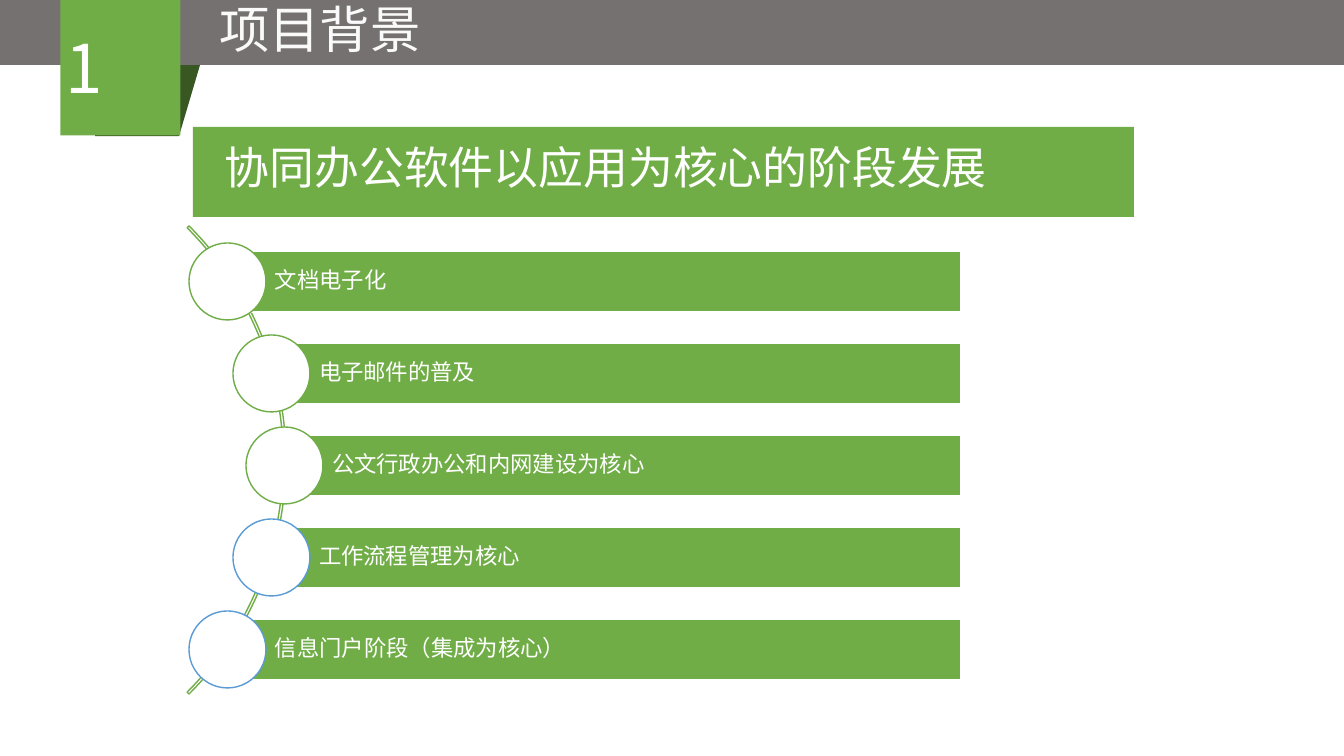
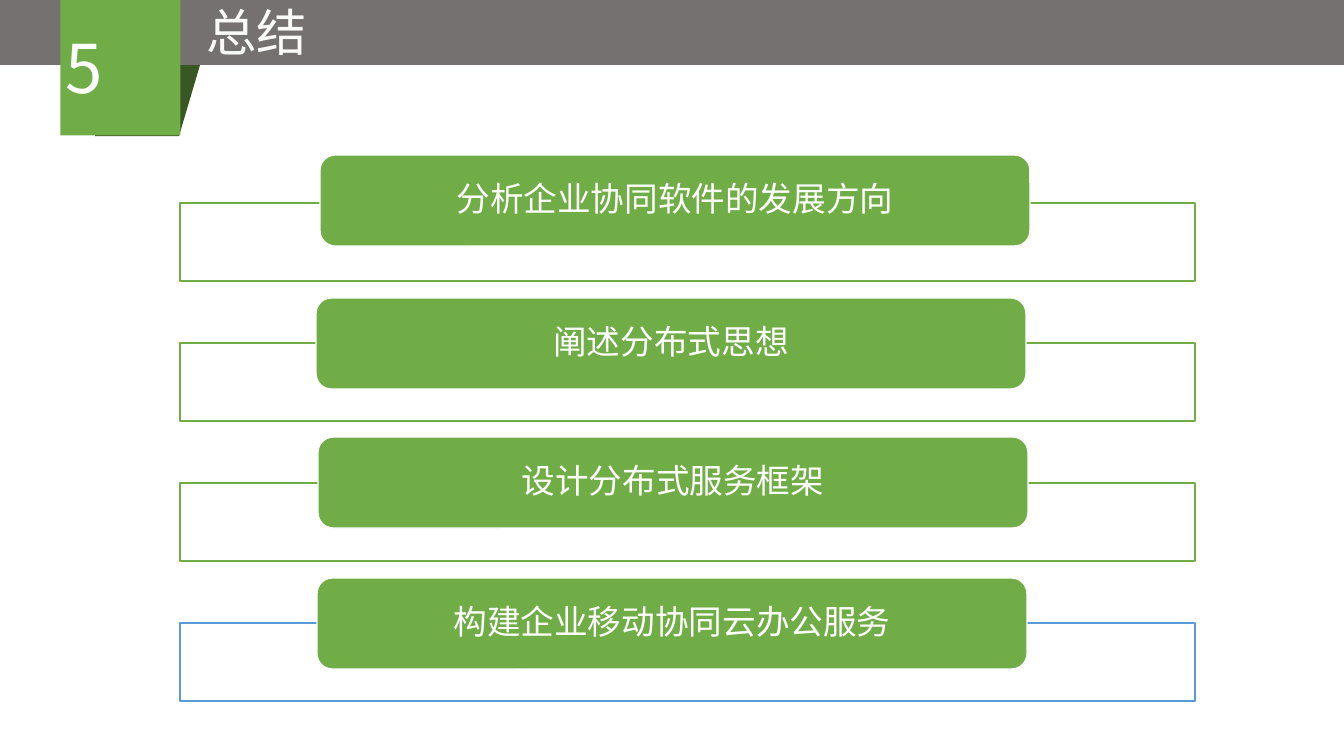
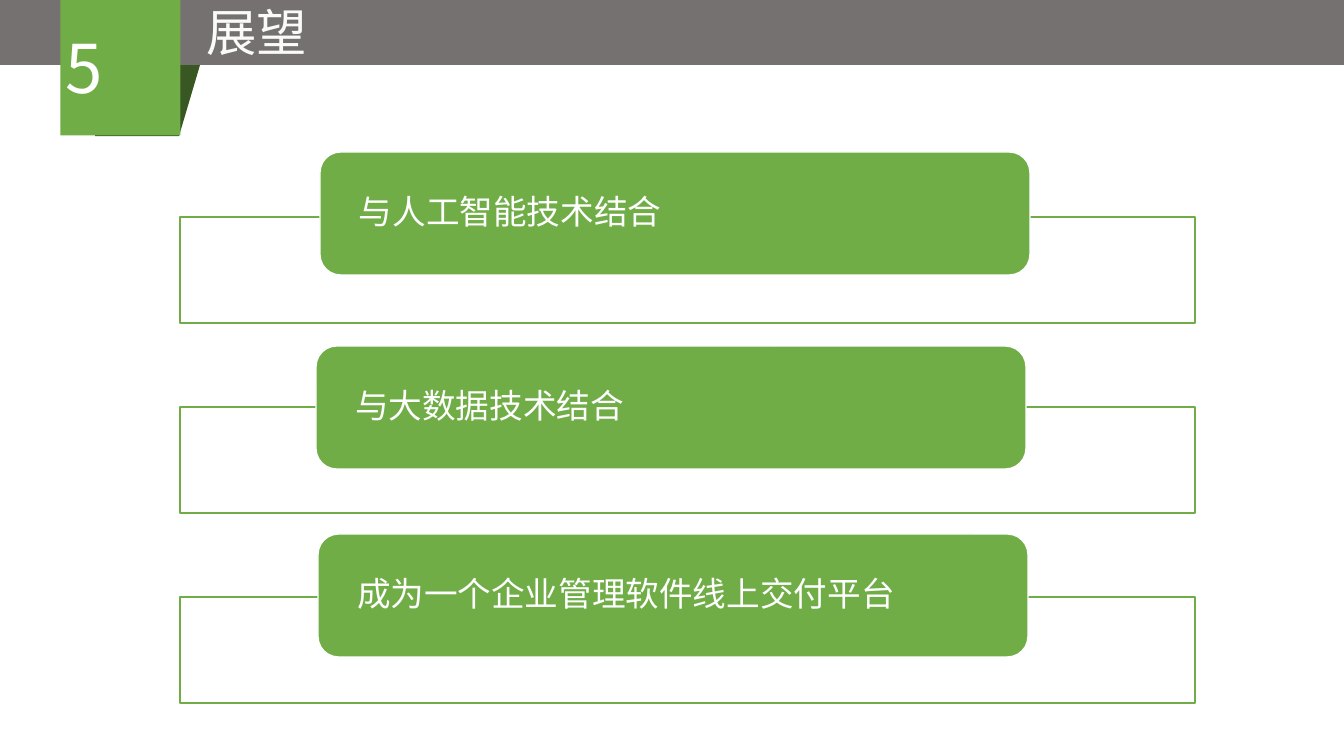
from lxml import etree
from pptx import Presentation
from pptx.dml.color import RGBColor
from pptx.enum.shapes import MSO_SHAPE
from pptx.enum.text import MSO_ANCHOR, MSO_AUTO_SIZE, PP_ALIGN
from pptx.oxml.ns import qn
from pptx.util import Emu, Pt

RECT = MSO_SHAPE.RECTANGLE
ROUND_RECT = MSO_SHAPE.ROUNDED_RECTANGLE
OVAL = MSO_SHAPE.OVAL
ARC = MSO_SHAPE.BLOCK_ARC
FOLD = MSO_SHAPE.FLOWCHART_DATA
LEFT, CENTER = PP_ALIGN.LEFT, PP_ALIGN.CENTER
TOP, MIDDLE = MSO_ANCHOR.TOP, MSO_ANCHOR.MIDDLE

PX = 914400 / 100.8
COLORS = {
    "band": "767171",
    "green": "70AD47",
    "dark green": "385723",
    "blue": "5B9BD5",
    "white": "FFFFFF",
    "title": "FAFAFA",
}
SANS = "Noto Sans CJK SC"
ROUNDED = "Quicksand"


def add_box(page, kind, place, fill=None, line=None):
    """Add a preset shape; place is left, top, width, height in px."""
    box = page.shapes.add_shape(kind, *[Emu(round(length * PX)) for length in place])
    box.shadow.inherit = False
    if fill:
        box.fill.solid()
        box.fill.fore_color.rgb = RGBColor.from_string(COLORS[fill])
    else:
        box.fill.background()
    if line:
        box.line.color.rgb = RGBColor.from_string(COLORS[line])
        box.line.width = Pt(1)
    else:
        box.line.fill.background()
    return box


def write(box, text, size, font, align=LEFT, anchor=MIDDLE, insets=(10, 5, 10, 5),
          spacing=1.0, color="white"):
    """Fill a shape with one run; insets are left, top, right, bottom in px."""
    frame = box.text_frame
    frame.word_wrap = True
    frame.auto_size = MSO_AUTO_SIZE.NONE
    frame.vertical_anchor = anchor
    (frame.margin_left, frame.margin_top,
     frame.margin_right, frame.margin_bottom) = [Emu(round(inset * PX)) for inset in insets]
    para = frame.paragraphs[0]
    para.alignment = align
    para.line_spacing = spacing
    span = para.add_run()
    span.text = text
    span.font.size = Pt(size)
    span.font.color.rgb = RGBColor.from_string(COLORS[color])
    span.font.name = font
    east_asian = etree.SubElement(span.font._element, qn("a:ea"))
    east_asian.set("typeface", font)


deck = Presentation()
deck.slide_width = Emu(round(1344 * PX))
deck.slide_height = Emu(round(756 * PX))
title_only = deck.slide_layouts[5]

# Shared header: band, numbered ribbon and title
headers = [
    ("1", "项目背景", (148, -7, 344, 72)),
    ("5", "总结", (148, -4, 217, 72)),
    ("5", "展望", (148, -4, 217, 72)),
]
pages = []
for number, heading, place in headers:
    page = deck.slides.add_slide(title_only)
    add_box(page, RECT, (0, -1, 1344, 66), "band")
    add_box(page, FOLD, (95, 65, 105, 71), "dark green").rotation = 180
    ribbon = add_box(page, RECT, (52, 7, 137, 120), "green")
    ribbon.rotation = 270
    write(ribbon, number, 48, SANS, CENTER)
    ribbon.text_frame._txBody.bodyPr.set("vert", "eaVert")

    title = page.shapes.title
    title.left, title.top, title.width, title.height = [
        Emu(round(length * PX)) for length in place]
    write(title, heading, 36, SANS, CENTER, TOP, color="title")
    page.shapes._spTree.append(title._element)  # in front of the band
    pages.append(page)

background, summary, outlook = pages

# Slide 1: stages strung along an arc
banner = add_box(background, RECT, (193, 127, 941, 90), "green")
write(banner, "协同办公软件以应用为核心的阶段发展", 32, ROUNDED, anchor=TOP,
      insets=(32, 13, 10, 5))

arc = add_box(background, ARC, (-376, 129, 662, 662), line="green")
for index, value in enumerate((189, 27, 0.004)):
    arc.adjustments[index] = value

BARS_RIGHT, BARS_TOP, BAR_PITCH, BAR_HEIGHT, DOT = 961, 251, 92, 61, 77
stages = [
    ("文档电子化", 227, "green"),
    ("电子邮件的普及", 271, "green"),
    ("公文行政办公和内网建设为核心", 284, "green"),
    ("工作流程管理为核心", 271, "blue"),
    ("信息门户阶段（集成为核心）", 227, "blue"),
]
for index, (stage, left, outline) in enumerate(stages):
    top = BARS_TOP + index * BAR_PITCH
    bar = add_box(background, RECT, (left, top, BARS_RIGHT - left, BAR_HEIGHT),
                  "green", "white")
    write(bar, stage, 16, ROUNDED, insets=(48, 4, 4, 4), spacing=0.9)
    add_box(background, OVAL, (left - DOT // 2, top - (DOT - BAR_HEIGHT) // 2, DOT, DOT),
            "white", outline)

# Slides 2 and 3: cards laid over outlined frames
# page, font, alignment, first frame top, frame pitch, frame height, card height, cards
card_pages = [
    (summary, ROUNDED, CENTER, 203, 140, 78, 91, [
        ("分析企业协同软件的发展方向", 320, 155, "green"),
        ("阐述分布式思想", 316, 298, "green"),
        ("设计分布式服务框架", 318, 437, "green"),
        ("构建企业移动协同云办公服务", 317, 578, "blue"),
    ]),
    (outlook, SANS, LEFT, 217, 190, 106, 123, [
        ("与人工智能技术结合", 320, 152, "green"),
        ("与大数据技术结合", 316, 346, "green"),
        ("成为一个企业管理软件线上交付平台", 318, 534, "green"),
    ]),
]
for page, font, align, first_top, pitch, frame_height, card_height, cards in card_pages:
    for index, (label, left, top, outline) in enumerate(cards):
        add_box(page, RECT, (180, first_top + index * pitch, 1015, frame_height),
                "white", outline)
        card = add_box(page, ROUND_RECT, (left, top, 710, card_height), "green", "white")
        write(card, label, 24, font, align, insets=(33, 0, 33, 0), spacing=0.9)

deck.save("out.pptx")
